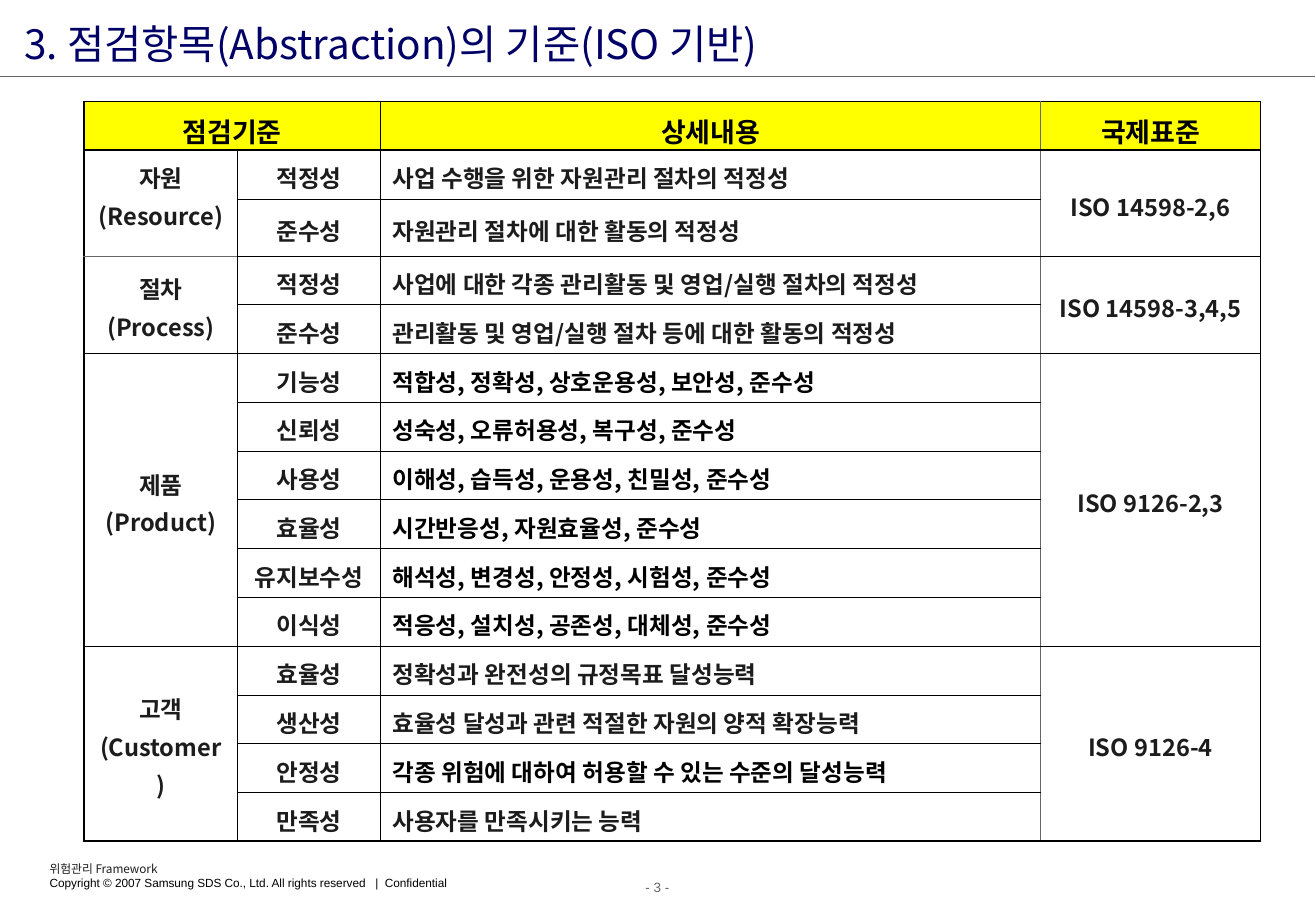
"""Builds the slide of inspection criteria and their ISO standards."""
from lxml import etree
from pptx import Presentation
from pptx import util as u
from pptx.dml.color import RGBColor
from pptx.enum import shapes, text
from pptx.oxml import ns

COLOURS = {"title": "000066", "ink": "1C1C1C", "black": "000000",
           "grey": "666666", "header": "FFFF00", "white": "FFFFFF"}
KOREAN, LATIN = "Noto Sans CJK KR", "Arial"
CENTRE, LEFT = text.PP_ALIGN.CENTER, text.PP_ALIGN.LEFT
THIN, THICK = 0.45, 1.08

HEADERS = [(0, "점검기준"), (2, "상세내용"), (3, "국제표준")]
GROUPS = [
    (["자원", "(Resource)"], "ISO 14598-2,6", [
        ("적정성", "사업 수행을 위한 자원관리 절차의 적정성", "ink"),
        ("준수성", "자원관리 절차에 대한 활동의 적정성", "ink")]),
    (["절차", "(Process)"], "ISO 14598-3,4,5", [
        ("적정성", "사업에 대한 각종 관리활동 및 영업/실행 절차의 적정성", "ink"),
        ("준수성", "관리활동 및 영업/실행 절차 등에 대한 활동의 적정성", "ink")]),
    (["제품", "(Product)"], "ISO 9126-2,3", [
        ("기능성", "적합성, 정확성, 상호운용성, 보안성, 준수성", "black"),
        ("신뢰성", "성숙성, 오류허용성, 복구성, 준수성", "black"),
        ("사용성", "이해성, 습득성, 운용성, 친밀성, 준수성", "black"),
        ("효율성", "시간반응성, 자원효율성, 준수성", "black"),
        ("유지보수성", "해석성, 변경성, 안정성, 시험성, 준수성", "black"),
        ("이식성", "적응성, 설치성, 공존성, 대체성, 준수성", "black")]),
    (["고객", "(Customer)"], "ISO 9126-4", [
        ("효율성", "정확성과 완전성의 규정목표 달성능력", "ink"),
        ("생산성", "효율성 달성과 관련 적절한 자원의 양적 확장능력", "ink"),
        ("안정성", "각종 위험에 대하여 허용할 수 있는 수준의 달성능력", "black"),
        ("만족성", "사용자를 만족시키는 능력", "ink")]),
]
COLUMN_WIDTHS = [3.21, 2.99, 13.81, 4.6]
ROW_HEIGHT, TALL_ROW, TALL_HEIGHT = 1.02, 2, 1.19


def add_span(para, words, size, colour, font=KOREAN, bold=False):
    """Add one formatted run to a paragraph."""
    span = para.add_run()
    span.text = words
    span.font.size = u.Pt(size)
    span.font.bold = bold
    span.font.name = font
    span.font.color.rgb = RGBColor.from_string(COLOURS[colour])
    east_asian = etree.SubElement(span.font._element, ns.qn("a:ea"))
    east_asian.set("typeface", font)


def add_text_box(page, box, spans, align=LEFT, margins=(0.25, 0.13),
                 anchor=text.MSO_ANCHOR.TOP, spacing=1.0):
    """Place a text box with one paragraph per span."""
    frame = page.shapes.add_textbox(*map(u.Cm, box)).text_frame
    frame.word_wrap = True
    frame.vertical_anchor = anchor
    frame.margin_left = frame.margin_right = u.Cm(margins[0])
    frame.margin_top = frame.margin_bottom = u.Cm(margins[1])
    for index, span in enumerate(spans):
        para = frame.add_paragraph() if index else frame.paragraphs[0]
        para.alignment = align
        para.line_spacing = spacing
        add_span(para, *span)


def add_title(page, box):
    """Place the heading and the rule under it."""
    left, top, width, height = box
    add_text_box(page, (left + 0.41, top + 0.3, 23.55, 1.12),
                 [("3. 점검항목(Abstraction)의 기준(ISO 기반)", 24, "title")],
                 margins=(0.1, 0), anchor=text.MSO_ANCHOR.MIDDLE, spacing=1.1)
    base = u.Cm(top + height)
    rule = page.shapes.add_connector(shapes.MSO_CONNECTOR.STRAIGHT,
                                     u.Cm(left), base, u.Cm(left + width), base)
    rule.line.width = u.Pt(0.75)
    rule.line.color.rgb = RGBColor.from_string(COLOURS["grey"])
    etree.SubElement(rule._element.spPr, ns.qn("a:effectLst"))


def set_borders(cell, edges):
    """Draw the left, right, top and bottom borders of a cell."""
    properties = cell._tc.get_or_add_tcPr()
    for index, (side, (colour, width)) in enumerate(zip("LRTB", edges)):
        line = etree.Element(ns.qn(f"a:ln{side}"), w=str(u.Pt(width)))
        fill = etree.SubElement(line, ns.qn("a:solidFill"))
        etree.SubElement(fill, ns.qn("a:srgbClr"), val=COLOURS[colour])
        properties.insert(index, line)


def fill_cell(cell, lines, size, colour, fill="white", align=CENTRE, bottom=0.08):
    """Write bold lines into a filled table cell."""
    cell.fill.solid()
    cell.fill.fore_color.rgb = RGBColor.from_string(COLOURS[fill])
    cell.vertical_anchor = text.MSO_ANCHOR.MIDDLE
    cell.margin_left = cell.margin_right = u.Cm(0.25)
    cell.margin_top, cell.margin_bottom = u.Cm(0.13), u.Cm(bottom)
    for index, words in enumerate(lines):
        frame = cell.text_frame
        para = frame.add_paragraph() if index else frame.paragraphs[0]
        para.alignment = align
        para.line_spacing = 1.1
        add_span(para, words, size, colour, bold=True)


def add_criteria_table(page, box):
    """Place the table of criteria, details and standards."""
    row_count = 1 + sum(len(criteria) for _, _, criteria in GROUPS)
    table = page.shapes.add_table(row_count, len(COLUMN_WIDTHS), *map(u.Cm, box)).table
    table.first_row = table.horz_banding = False
    for column, width in zip(table.columns, COLUMN_WIDTHS):
        column.width = u.Cm(width)
    for index, row in enumerate(table.rows):
        row.height = u.Cm(TALL_HEIGHT if index == TALL_ROW else ROW_HEIGHT)

    table.cell(0, 0).merge(table.cell(0, 1))
    for column, words in HEADERS:
        fill_cell(table.cell(0, column), [words], 16, "black", "header", bottom=0)
    top = 1
    for name, standard, criteria in GROUPS:
        last = top + len(criteria) - 1
        for column, lines in ((0, name), (3, [standard])):
            table.cell(top, column).merge(table.cell(last, column))
            fill_cell(table.cell(top, column), lines, 14, "ink")
        for row, (criterion, detail, colour) in enumerate(criteria, top):
            fill_cell(table.cell(row, 1), [criterion], 14, "ink")
            fill_cell(table.cell(row, 2), [detail], 14, colour, align=LEFT)
        top = last + 1
    table.cell(1, 0).vertical_anchor = text.MSO_ANCHOR.TOP

    for row in range(row_count):
        for column in range(len(COLUMN_WIDTHS)):
            cell = table.cell(row, column)
            if cell.is_spanned:
                continue
            end = row + (cell.span_height if cell.is_merge_origin else 1)
            set_borders(cell, [
                ("grey" if column == 3 else "black", THIN if column else THICK),
                ("grey" if column == 2 else "black", THICK if column == 3 else THIN),
                ("grey" if (row, column) == (3, 0) else "black",
                 THICK if row < 2 else THIN),
                ("grey" if (row, column) == (1, 0) else "black",
                 THICK if end in (1, row_count) else THIN)])


def add_footer(page, box):
    """Place the copyright lines and the page number."""
    left, top, width, height = box
    add_text_box(page, (left + 0.79, top, 10.57, 0.86), [
        ("위험관리 Framework", 7, "ink"),
        ("Copyright © 2007 Samsung SDS Co., Ltd. All rights reserved   |  Confidential",
         7, "black", LATIN)])
    add_text_box(page, (left, top + 0.38, width, height - 0.38),
                 [("- 3 -", 8, "grey", LATIN)], CENTRE)


def main():
    """Build and save the deck."""
    deck = Presentation()
    deck.slide_width, deck.slide_height = u.Cm(27.53), u.Cm(19.05)
    page = deck.slides.add_slide(deck.slide_layouts[6])
    add_title(page, (0, 0, 27.51, 1.6))
    add_criteria_table(page, (1.76, 2.12, 24.61, 15.47))
    add_footer(page, (0, 17.88, 27.51, 1))
    deck.save("out.pptx")


if __name__ == "__main__":
    main()
